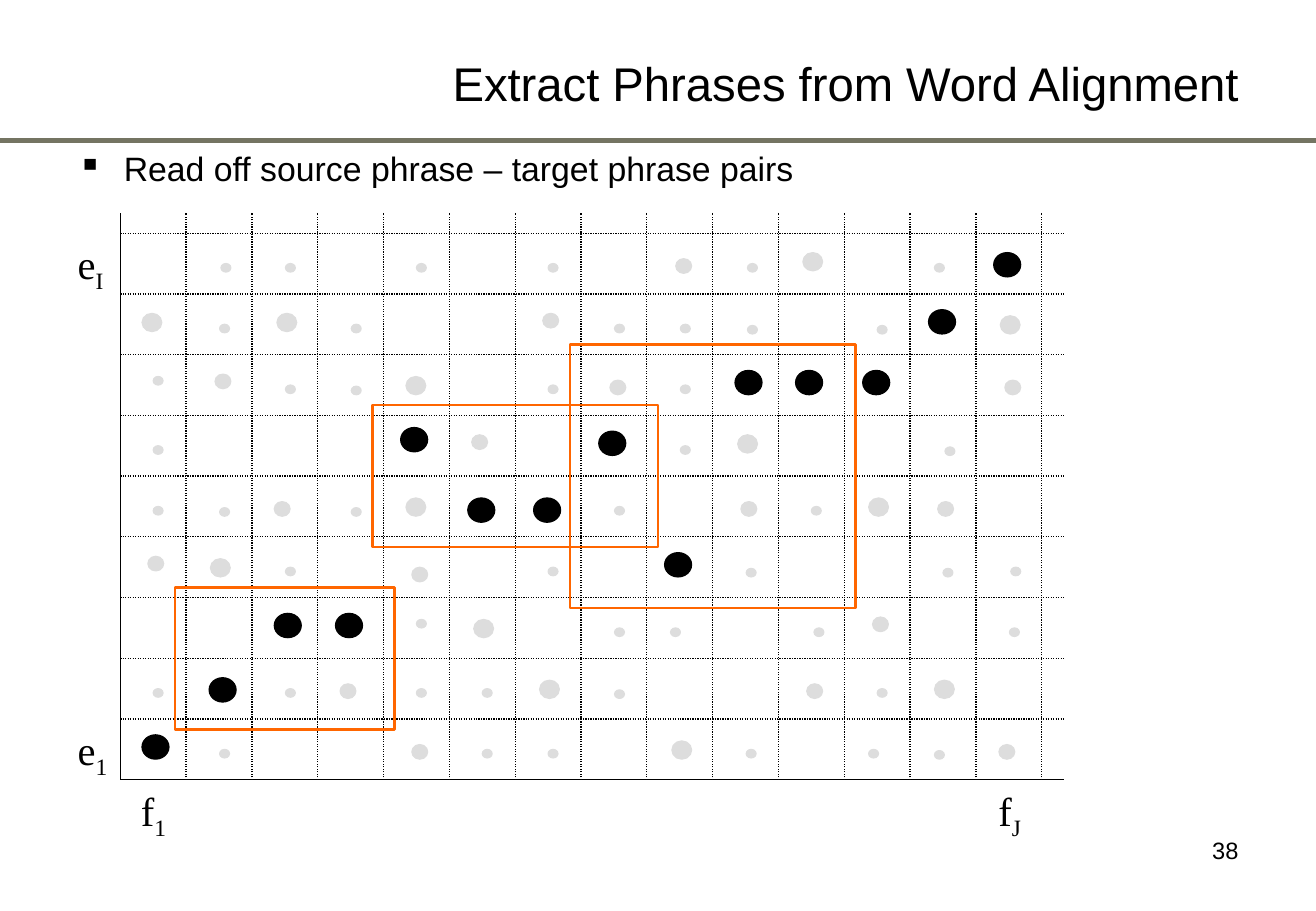
"""Build the phrase extraction slide with its word alignment grid."""
from dataclasses import dataclass
from typing import NamedTuple, Optional

from lxml.etree import SubElement
from pptx import Presentation
from pptx.dml.color import RGBColor
from pptx.enum.dml import MSO_LINE_DASH_STYLE as Dash
from pptx.enum.shapes import MSO_CONNECTOR as Connector, MSO_SHAPE as Shape
from pptx.enum.text import MSO_ANCHOR as Anchor, MSO_AUTO_SIZE as AutoSize, PP_ALIGN as Align
from pptx.oxml.ns import qn
from pptx.slide import Slide
from pptx.util import Inches, Pt


@dataclass(frozen=True)
class Theme:
    black: str = "000000"
    gray: str = "DDDDDD"
    orange: str = "FF6600"
    rule: str = "747462"
    sans: str = "Arial"
    serif: str = "Times New Roman"
    title: int = 28
    label: int = 24
    body: int = 20
    number: int = 14
    thin: float = 0.75
    box: float = 1.5
    thick: float = 3


class Area(NamedTuple):
    col: float
    row: float
    cols: float
    rows: float


@dataclass(frozen=True)
class Text:
    area: Area
    text: str
    size: int
    font: str
    sub: str = ""
    bullet: str = ""
    align: Align = Align.LEFT
    anchor: Anchor = Anchor.TOP
    wrap: bool = True


@dataclass(frozen=True)
class DotSet:
    cols: float
    rows: float
    color: str
    places: dict[float, list[float]]


T = Theme()
LEFT, TOP = Inches(0.99), Inches(1.92)
COL, ROW = Inches(13) / 24, Inches(0.5)
COLS, ROWS = 14, 9
OVERHANG = 0.34
PAD = 0.17
INDENT = Inches(0.38)

DOTS = [
    DotSet(0.41, 0.4, T.black, {
        0.32: [13.27], 1.26: [12.28], 2.26: [9.34, 10.26, 11.28], 3.2: [4.26],
        3.26: [7.27], 4.36: [5.28, 6.28], 5.26: [8.27], 6.26: [2.34, 3.27],
        7.32: [1.35], 8.26: [0.33]}),
    DotSet(0.24, 0.24, T.gray, {
        0.42: [8.44], 1.32: [6.42], 2.32: [1.44], 2.42: [7.44, 13.44],
        3.32: [5.34], 4.42: [2.34, 9.43, 12.42], 5.32: [0.42], 5.5: [4.43],
        6.32: [11.43], 7.42: [3.34, 10.43], 8.42: [4.43, 13.35]}),
    DotSet(0.3, 0.3, T.gray, {
        0.32: [10.37], 1.32: [0.33, 2.38], 1.36: [13.37], 2.36: [4.34],
        3.32: [9.38], 4.36: [4.34, 11.37], 5.36: [1.37], 6.36: [5.37],
        7.36: [6.37, 12.37], 8.36: [8.38]}),
    DotSet(0.15, 0.14, T.gray, {
        0.5: [1.53, 2.51, 4.5, 6.5, 9.53, 12.37], 1.5: [1.51, 3.51, 7.51, 8.51],
        1.52: [9.53, 11.5], 2.36: [0.5], 2.5: [2.51, 6.5, 8.51], 2.52: [3.51],
        3.5: [0.5, 8.51], 3.52: [12.53], 4.5: [0.5, 7.51, 10.5],
        4.52: [1.51, 3.51], 5.5: [2.51, 6.5, 13.53], 5.52: [9.51, 12.5],
        6.36: [4.5], 6.5: [7.51, 8.36, 10.54, 13.51],
        7.5: [0.5, 2.51, 4.5, 5.5, 11.5], 7.52: [7.51],
        8.5: [1.51, 5.5, 6.5, 9.51, 11.37], 8.52: [12.37]}),
]

PHRASES = [Area(4, 3, 4, 2), Area(7, 2, 4, 4), Area(1, 6, 3, 2)]

TEXTS = [
    Text(Area(12.5, 9.82, 4.67, 1.04), "38", T.number, T.sans, align=Align.RIGHT),
    Text(Area(3.91, -3.46, 13.26, 1.96), "Extract Phrases from Word Alignment",
         T.title, T.sans, align=Align.RIGHT, anchor=Anchor.MIDDLE),
    Text(Area(-0.83, -1.5, 17.89, 5.28), "Read off source phrase – target phrase pairs",
         T.body, T.sans, bullet="▪"),
] + [
    Text(Area(col, row, cols, 1.02), word, T.label, T.serif, sub=sub, wrap=False)
    for word, sub, col, row, cols in [
        ("f", "1", 0.13, ROWS, 0.79), ("f", "J", 13.16, ROWS, 0.74),
        ("e", "1", -0.83, ROWS - 1, 0.85), ("e", "I", -0.83, 0, 0.79)]
]


def x_at(col: float) -> int:
    return round(LEFT + col * COL)


def y_at(row: float) -> int:
    return round(TOP + row * ROW)


def frame(a: Area) -> tuple[int, int, int, int]:
    return x_at(a.col), y_at(a.row), round(a.cols * COL), round(a.rows * ROW)


def add_line(s: Slide, x1: int, y1: int, x2: int, y2: int, color: str = T.black,
             width: float = T.thin, dash: Optional[Dash] = None) -> None:
    c = s.shapes.add_connector(Connector.STRAIGHT, x1, y1, x2, y2)
    c.line.color.rgb = RGBColor.from_string(color)
    c.line.width = Pt(width)
    c.line.dash_style = dash
    SubElement(c._element.spPr, qn("a:effectLst"))


def add_outline(s: Slide, kind: Shape, area: Area, color: str, width: float,
                filled: bool) -> None:
    sp = s.shapes.add_shape(kind, *frame(area))
    sp.shadow.inherit = False
    if filled:
        sp.fill.solid()
        sp.fill.fore_color.rgb = RGBColor.from_string(color)
    else:
        sp.fill.background()
    sp.line.color.rgb = RGBColor.from_string(color)
    sp.line.width = Pt(width)


def add_text(s: Slide, t: Text) -> None:
    tf = s.shapes.add_textbox(*frame(t.area)).text_frame
    tf.word_wrap = t.wrap
    tf.auto_size = AutoSize.NONE if t.wrap else AutoSize.SHAPE_TO_FIT_TEXT
    tf.vertical_anchor = t.anchor
    p = tf.paragraphs[0]
    p.alignment = t.align
    if t.bullet:
        pPr = p._p.get_or_add_pPr()
        pPr.set("marL", str(INDENT))
        pPr.set("indent", str(-INDENT))
        SubElement(pPr, qn("a:buChar"), char=t.bullet)
    for text, baseline in ((t.text, 0), (t.sub, -25000)):
        if text:
            r = p.add_run()
            r.text = text
            r.font.size = Pt(t.size)
            r.font.name = t.font
            r.font.color.rgb = RGBColor.from_string(T.black)
            if baseline:
                r._r.get_or_add_rPr().set("baseline", str(baseline))


def add_grid(s: Slide) -> None:
    right, top, bottom = x_at(COLS + OVERHANG), y_at(-OVERHANG), y_at(ROWS)
    for row in range(ROWS + 1):
        add_line(s, LEFT, y_at(row), right, y_at(row),
                 dash=None if row == ROWS else Dash.ROUND_DOT)
    for col in range(COLS + 1):
        add_line(s, x_at(col), bottom, x_at(col), top,
                 dash=Dash.ROUND_DOT if col else None)


def main() -> None:
    prs = Presentation()
    prs.slide_width, prs.slide_height = Inches(10.83), Inches(7.5)
    s = prs.slides.add_slide(prs.slide_layouts[6])
    rule_y = y_at(-1.52)
    add_line(s, 0, rule_y, prs.slide_width, rule_y, T.rule, T.thick)
    add_grid(s)
    for d in DOTS:
        for row, cols in d.places.items():
            for col in cols:
                add_outline(s, Shape.OVAL, Area(col, row, d.cols, d.rows),
                            d.color, T.thin, True)
    for t in TEXTS:
        add_text(s, t)
    for a in PHRASES:
        area = Area(a.col - PAD, a.row - PAD, a.cols + 2 * PAD, a.rows + 2 * PAD)
        add_outline(s, Shape.RECTANGLE, area, T.orange, T.box, False)
    prs.save("out.pptx")


if __name__ == "__main__":
    main()
